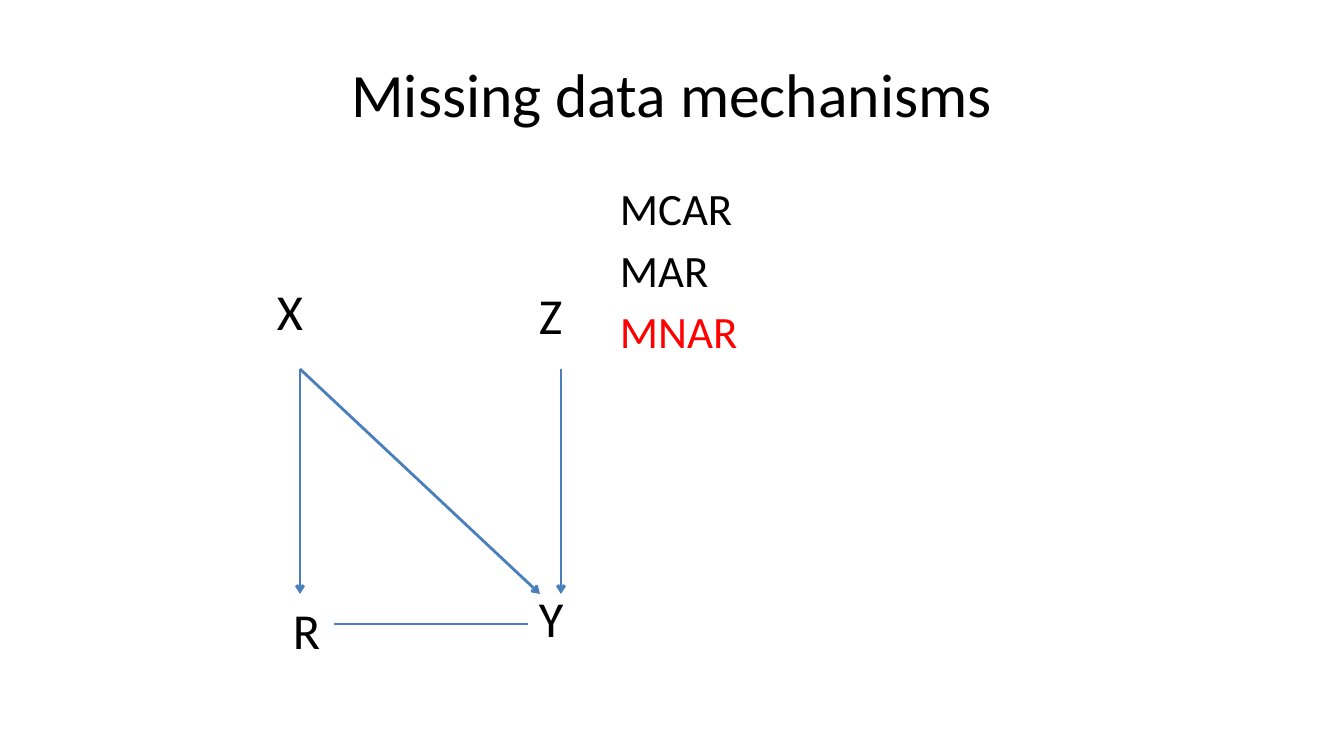
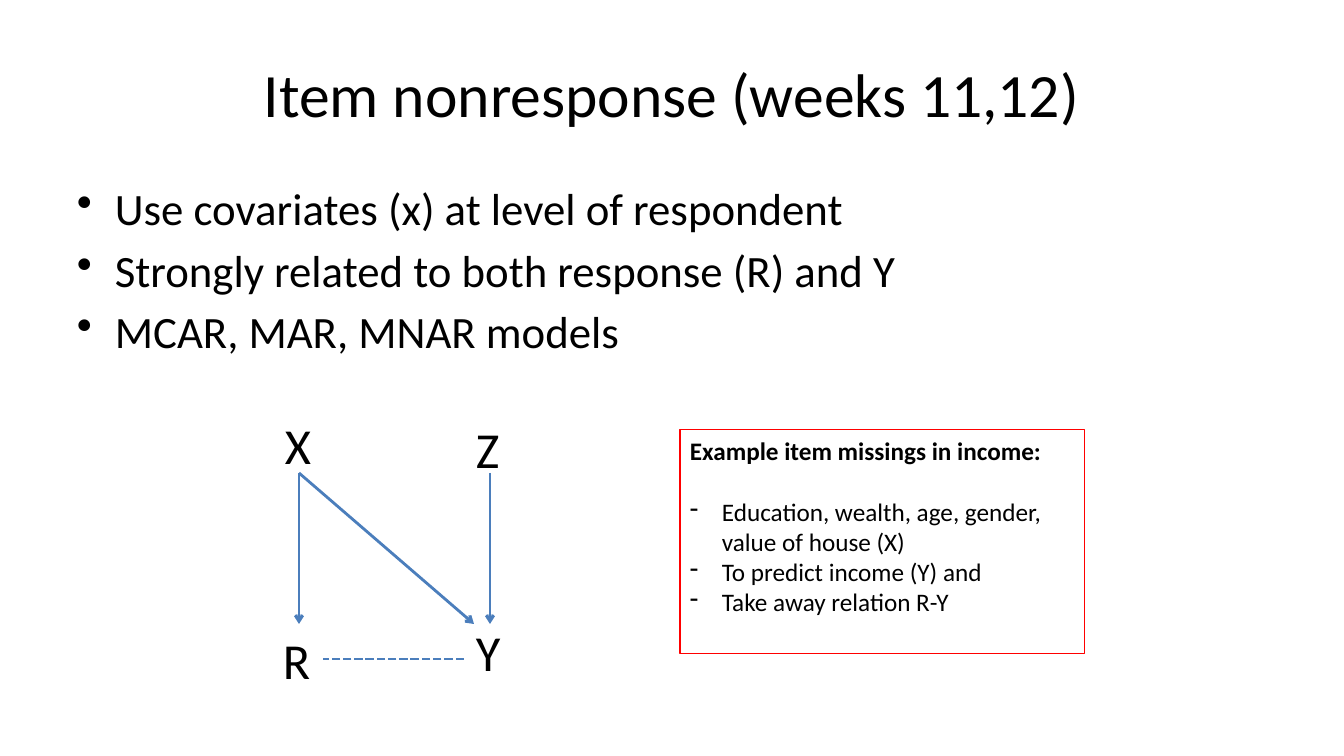
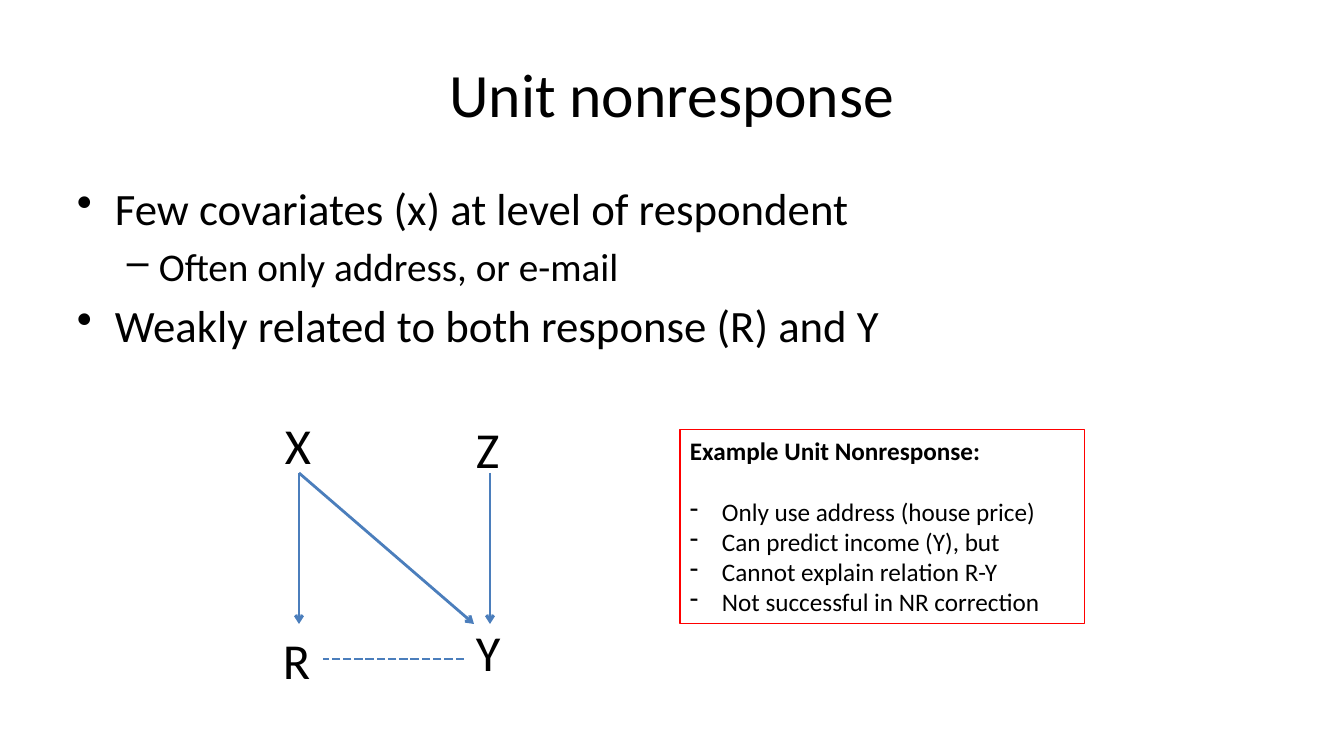
from lxml import etree
from pptx import Presentation
from pptx.dml.color import RGBColor
from pptx.enum.dml import MSO_LINE
from pptx.enum.shapes import MSO_CONNECTOR, MSO_SHAPE
from pptx.enum.text import MSO_ANCHOR, PP_ALIGN
from pptx.oxml.ns import qn
from pptx.util import Pt

LEFT, CENTER = PP_ALIGN.LEFT, PP_ALIGN.CENTER
TOP, MIDDLE = MSO_ANCHOR.TOP, MSO_ANCHOR.MIDDLE
STRAIGHT = MSO_CONNECTOR.STRAIGHT
RECT = MSO_SHAPE.RECTANGLE
DASH = MSO_LINE.SQUARE_DOT

PX = 914400 / 100.8
WIDE, HIGH = 1344, 756
FONT = "Calibri"
BLACK, RED, BLUE = "000000", "FF0000", "4B7EBC"
THICK, THIN = 2, 0

BULLET = dict(size=32, gap=5.6, mark="•", left=38, hang=38)
SUB = dict(size=28, gap=5.6, mark="–", left=82, hang=32, level=1)
PLAIN = dict(size=32, gap=5.6)

LARGE = dict(
    spots={"X": (267, 275), "Z": (529, 279), "R": (283, 594), "Y": (529, 582)},
    rows=(369, 594), cols=(300, 540, 561), link=(528, 334, 624))
SMALL = dict(
    spots={"X": (275, 409), "Z": (466, 413), "R": (273, 624), "Y": (466, 616)},
    rows=(473, 624), cols=(299, 474, 490), link=(464, 323, 659))


def px(*nums):
    return [round(num * PX) for num in nums]


def paint(code):
    return RGBColor.from_string(code)


def write(frame, text, size=18, color=BLACK, bold=False, align=LEFT,
          gap=0, mark=None, left=0, hang=0, level=0):
    para = frame.add_paragraph() if frame.text else frame.paragraphs[0]
    para.alignment = align
    para.level = level
    para.space_before = Pt(gap)
    run = para.add_run()
    run.text = text
    run.font.name = FONT
    run.font.size = Pt(size)
    run.font.bold = bold
    run.font.color.rgb = paint(color)
    if mark:
        props = para._p.get_or_add_pPr()
        inset, back = px(left, -hang)
        props.set("marL", str(inset))
        props.set("indent", str(back))
        etree.SubElement(props, qn("a:buChar")).set("char", mark)


def page(deck, title):
    slide = deck.slides.add_slide(deck.slide_layouts[5])
    head = slide.shapes.title
    head.left, head.top, head.width, head.height = px(67, 30, 1210, 126)
    head.text_frame.vertical_anchor = MIDDLE
    write(head.text_frame, title, size=44, align=CENTER)
    return slide


def area(slide, x, y, wide, high):
    frame = slide.shapes.add_textbox(*px(x, y, wide, high)).text_frame
    frame.word_wrap = True
    return frame


def body(slide, items, x=67, wide=1210):
    frame = area(slide, x, 176, wide, 499)
    for text, style in items:
        write(frame, text, **style)


def line(slide, x1, y1, x2, y2, width=THICK, arrow=True, dash=None):
    link = slide.shapes.add_connector(STRAIGHT, *px(x1, y1, x2, y2))
    link.line.color.rgb = paint(BLUE)
    link.line.width = Pt(width)
    if dash:
        link.line.dash_style = dash
    if arrow:
        stroke = link.line._get_or_add_ln()
        etree.SubElement(stroke, qn("a:tailEnd")).set("type", "arrow")
    etree.SubElement(link._element.spPr, qn("a:effectLst"))


def graph(slide, spots, rows, cols, link, width=THICK, last=THICK, dash=None):
    for name, (x, y) in spots.items():
        write(area(slide, x, y, 190, 72), name, size=36)
    top, base = rows
    start, slant, side = cols
    line(slide, start, top, start, base, width)
    line(slide, start, top, slant, base, width)
    line(slide, side, top, side, base)
    right, left, y = link
    line(slide, right, y, left, y, last, arrow=False, dash=dash)


def note(slide, title, items, high):
    box = slide.shapes.add_shape(RECT, *px(680, 430, 405, high))
    box.shadow.inherit = False
    box.fill.background()
    box.line.color.rgb = paint(RED)
    box.line.width = Pt(0.75)
    frame = box.text_frame
    frame.word_wrap = True
    frame.vertical_anchor = TOP
    write(frame, title, bold=True)
    for rank, text in enumerate(items):
        write(frame, text, gap=0 if rank else 22, mark="-", left=32, hang=32)


def main():
    deck = Presentation()
    deck.slide_width, deck.slide_height = px(WIDE, HIGH)

    slide = page(deck, "Missing data mechanisms")
    body(slide, [("MCAR", PLAIN), ("MAR", PLAIN),
                 ("MNAR", dict(PLAIN, color=RED))], x=610, wide=515)
    graph(slide, **LARGE)

    slide = page(deck, "Item nonresponse (weeks 11,12)")
    body(slide, [("Use covariates (x) at level of respondent", BULLET),
                 ("Strongly related to both response (R) and Y", BULLET),
                 ("MCAR, MAR, MNAR models", BULLET)])
    graph(slide, **SMALL, dash=DASH)
    note(slide, "Example item missings in income:",
         ["Education, wealth, age, gender, value of house (X)",
          "To predict income (Y) and",
          "Take away relation R-Y"], 224)

    slide = page(deck, "Unit nonresponse")
    body(slide, [("Few covariates (x) at level of respondent", BULLET),
                 ("Often only address, or e-mail", SUB),
                 ("Weakly related to both response (R) and Y", BULLET)])
    graph(slide, **SMALL, width=THIN, dash=DASH)
    note(slide, "Example Unit Nonresponse:",
         ["Only use address (house price)",
          "Can predict income (Y), but",
          "Cannot explain relation R-Y",
          "Not successful in NR correction"], 194)

    deck.save("out.pptx")


if __name__ == "__main__":
    main()
